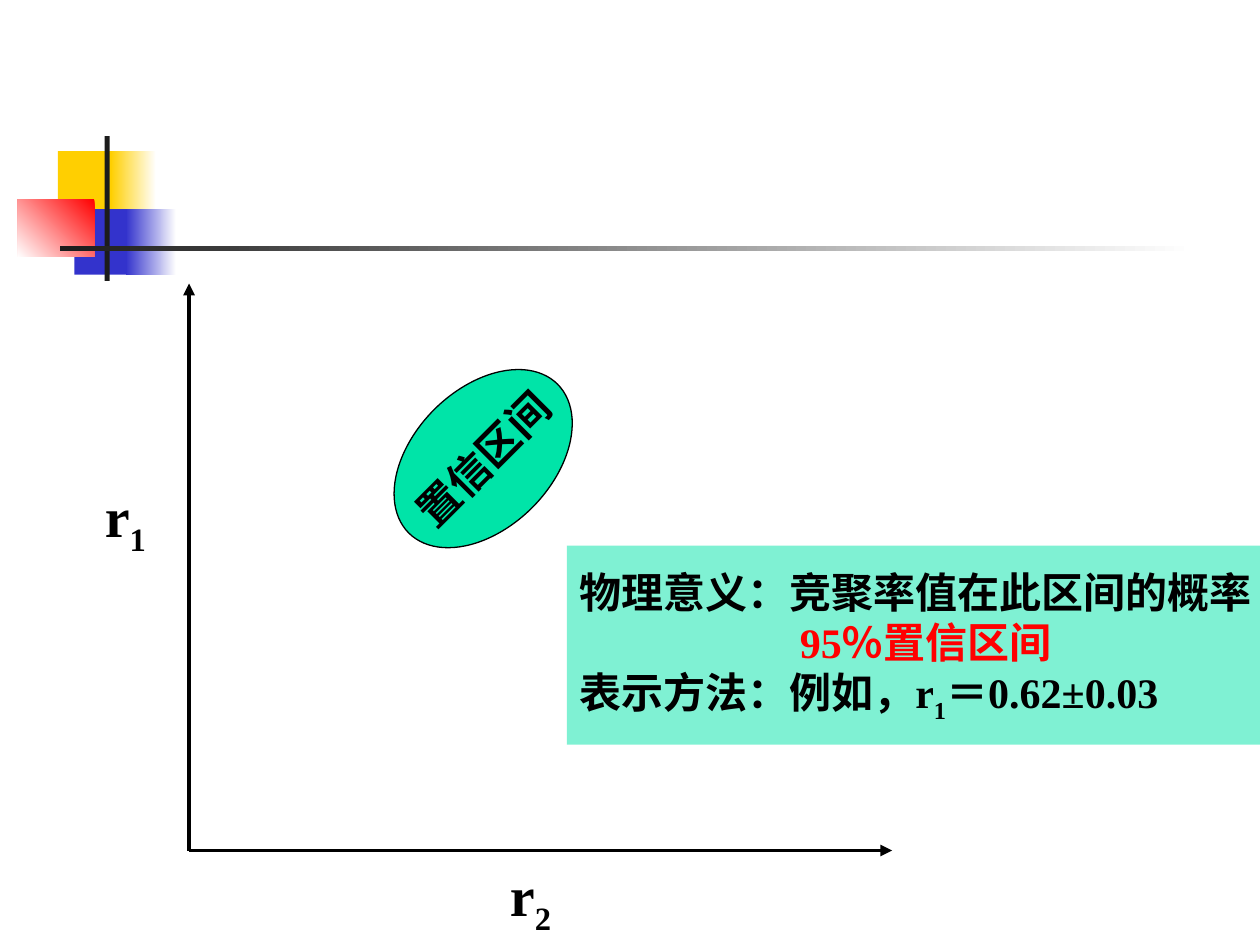
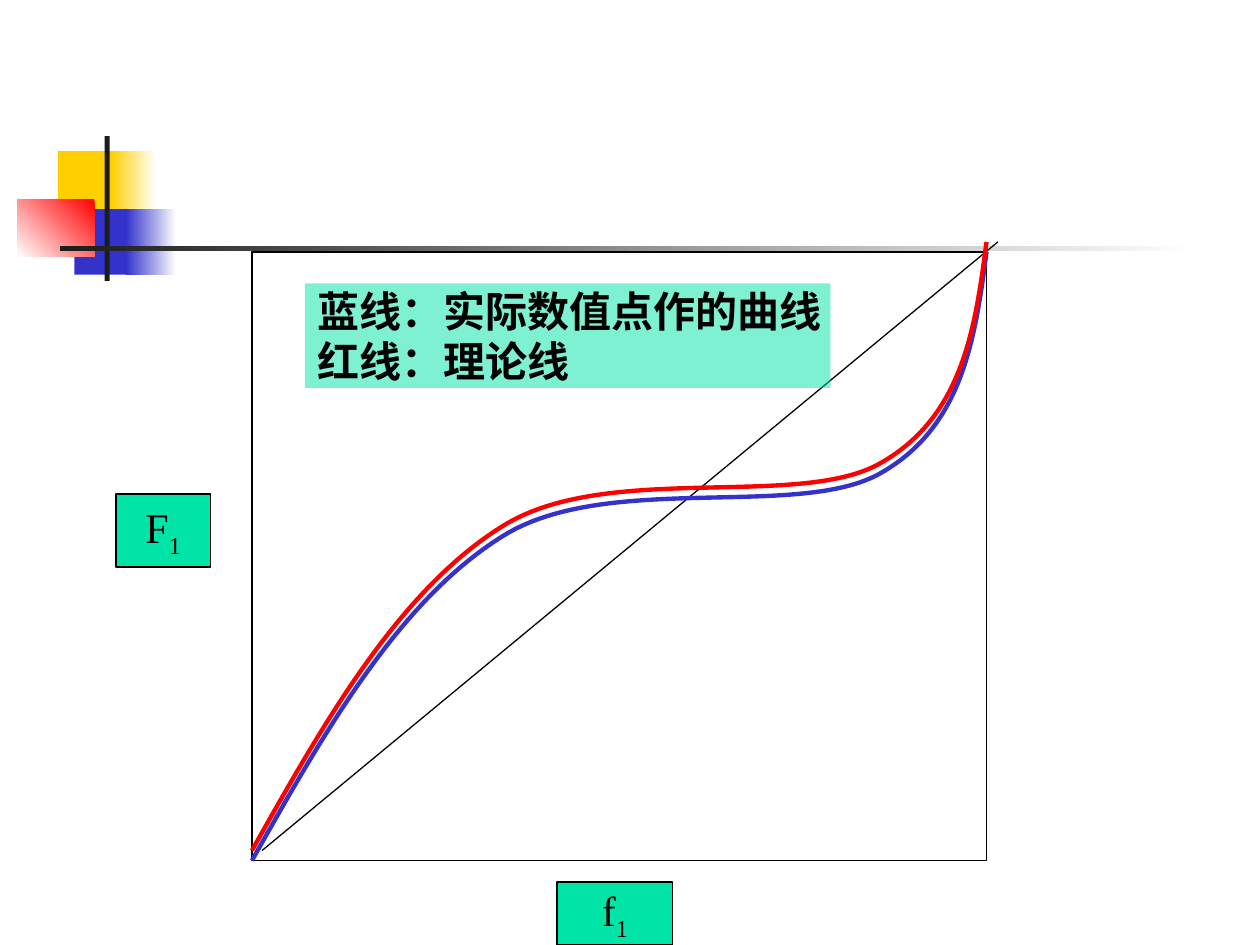
from dataclasses import dataclass

from lxml.etree import SubElement
from pptx import Presentation
from pptx.dml.color import RGBColor
from pptx.enum.shapes import MSO_CONNECTOR, MSO_SHAPE
from pptx.enum.text import MSO_ANCHOR, PP_ALIGN
from pptx.oxml.ns import qn
from pptx.util import Inches, Pt


@dataclass(frozen=True)
class Theme:
    black: str = "000000"
    white: str = "FFFFFF"
    charcoal: str = "1C1C1C"
    yellow: str = "FFCF01"
    blue: str = "3333CC"
    red: str = "FF0000"
    mint: str = "00E4A8"
    serif: str = "Times New Roman"
    sans: str = "Cabin"
    axis_size: int = 32
    body_size: int = 24
    thin: float = 0.75
    axis_width: float = 2.25
    curve_width: float = 2.5


THEME = Theme()


def write_text(frame, paragraphs, *, size=THEME.body_size, font=THEME.serif,
               bold=False, align=PP_ALIGN.CENTER, indents=()):
    """Each paragraph is a list of (text, colour, is_subscript) runs."""
    frame.word_wrap = False
    frame.vertical_anchor = MSO_ANCHOR.MIDDLE
    indents = dict(indents)
    for index, runs in enumerate(paragraphs):
        paragraph = frame.paragraphs[0] if index == 0 else frame.add_paragraph()
        paragraph.alignment = align
        if index in indents:
            paragraph._p.get_or_add_pPr().set("marL", str(Inches(indents[index])))
        for text, colour, is_subscript in runs:
            run = paragraph.add_run()
            run.text = text
            run.font.name = font
            run.font.size = Pt(size)
            run.font.bold = bold
            run.font.color.rgb = RGBColor.from_string(colour)
            if is_subscript:
                run._r.get_or_add_rPr().set("baseline", "-25000")


def plain(text, colour=THEME.black):
    return (text, colour, False)


def subscripted(base, index):
    return [plain(base), (index, THEME.black, True)]


class SlideBuilder:
    def __init__(self, presentation, theme):
        self.presentation = presentation
        self.theme = theme
        self.slide = None

    def new_slide(self):
        self.slide = self.presentation.slides.add_slide(self.presentation.slide_layouts[6])
        self.ornament()

    def ornament(self):
        """Coloured squares and crossing bars shared by every slide."""
        t = self.theme
        self.block((0.46, 1.2, 0.48, 0.52), fill=t.yellow)
        self.block((0.88, 1.2, 0.36, 0.52), gradient=(t.white, t.yellow, 180))
        self.block((0.59, 1.66, 0.46, 0.52), fill=t.blue)
        self.block((1, 1.66, 0.4, 0.52), gradient=(t.white, t.blue, 180))
        self.block((0.14, 1.58, 0.61, 0.46), gradient=(t.red, t.white, 135))
        self.block((0.83, 1.08, 0.04, 1.15), fill=t.charcoal)
        self.block((0.48, 1.95, 9, 0.04), gradient=(t.white, t.charcoal, 180))

    def block(self, box, *, kind=MSO_SHAPE.RECTANGLE, fill=None, alpha=None,
              gradient=None, outline=False, rotation=0):
        shape = self.slide.shapes.add_shape(kind, *map(Inches, box))
        shape.shadow.inherit = False
        shape.rotation = rotation
        if gradient:
            *colours, clockwise = gradient
            shape.fill.gradient()
            shape.fill.gradient_angle = 360 - clockwise
            for stop, colour in zip(shape.fill.gradient_stops, colours):
                stop.color.rgb = RGBColor.from_string(colour)
        elif fill:
            shape.fill.solid()
            shape.fill.fore_color.rgb = RGBColor.from_string(fill)
        else:
            shape.fill.background()
        if alpha is not None:
            colour = shape._element.spPr.xpath("./a:solidFill/a:srgbClr")[0]
            SubElement(colour, qn("a:alpha")).set("val", str(alpha * 1000))
        if outline:
            self.stroke(shape, self.theme.black, self.theme.thin)
        else:
            shape.line.fill.background()
        return shape

    def stroke(self, shape, colour, width):
        shape.line.color.rgb = RGBColor.from_string(colour)
        shape.line.width = Pt(width)

    def line(self, start, end, *, width, arrow=False):
        connector = self.slide.shapes.add_connector(
            MSO_CONNECTOR.STRAIGHT, *map(Inches, (*start, *end)))
        self.stroke(connector, self.theme.black, width)
        if arrow:
            SubElement(connector.line._get_or_add_ln(), qn("a:tailEnd")).set("type", "triangle")
        SubElement(connector._element.spPr, qn("a:effectLst"))

    def curve(self, start, segments, *, colour, lift=0):
        """Joined cubic curves; each segment is two control points and an end."""
        def place(point):
            return Inches(point[0]), Inches(point[1] - lift)

        builder = self.slide.shapes.build_freeform(*place(start))
        builder.add_line_segments([place(end) for *_, end in segments], close=False)
        shape = builder.convert_to_shape()

        # Bend each straight segment with its control points
        straights = shape._element.spPr.xpath(".//a:lnTo")
        for straight, (*controls, _) in zip(straights, segments):
            straight.tag = qn("a:cubicBezTo")
            for index, control in enumerate(controls):
                x, y = place(control)
                corner = SubElement(straight, qn("a:pt"))
                corner.set("x", str(x - shape.left))
                corner.set("y", str(y - shape.top))
                straight.insert(index, corner)

        shape.shadow.inherit = False
        shape.fill.background()
        self.stroke(shape, colour, self.theme.curve_width)

    def axis_name(self, box, runs):
        write_text(self.block(box).text_frame, [runs],
                   size=self.theme.axis_size, bold=True)

    def axis_tag(self, box, runs):
        tag = self.block(box, fill=self.theme.mint, outline=True)
        write_text(tag.text_frame, [runs])

    def note(self, box, paragraphs, **text_format):
        panel = self.block(box, fill=self.theme.mint, alpha=50)
        write_text(panel.text_frame, paragraphs, bold=True,
                   align=PP_ALIGN.LEFT, **text_format)


def confidence_region(deck):
    t = deck.theme
    deck.new_slide()

    # Axes
    origin = (1.5, 6.75)
    for tip in ((1.5, 2.25), (7.08, 6.75)):
        deck.line(origin, tip, width=t.axis_width, arrow=True)
    deck.axis_name((0.83, 3.75, 0.33, 0.75), subscripted("r", "1"))
    deck.axis_name((3.75, 6.92, 0.92, 0.42), subscripted("r", "2"))

    # Tilted region
    region = deck.block((3, 3.09, 1.67, 1.1), kind=MSO_SHAPE.OVAL, fill=t.mint,
                        outline=True, rotation=-45)
    write_text(region.text_frame, [[plain("置信区间")]], font=t.sans, bold=True)

    # Meaning and notation
    deck.note((4.5, 4.33, 5.5, 1.58), [
        [plain("物理意义：竞聚率值在此区间的概率")],
        [plain("95％置信区间", t.red)],
        subscripted("表示方法：例如，r", "1") + [plain("＝0.62±0.03")],
    ], indents={1: 1.75})


def composition_curves(deck):
    t = deck.theme
    deck.new_slide()

    # Plot frame, diagonal and axis tags
    deck.block((2, 2, 5.83, 4.83), outline=True)
    deck.line((2.08, 6.75), (7.92, 1.92), width=t.thin)
    deck.axis_tag((4.42, 7, 0.92, 0.5), subscripted("f", "1"))
    deck.axis_tag((0.92, 3.92, 0.75, 0.58), subscripted("F", "1"))

    # Measured curve, and the theoretical one just above it
    start = (7.83, 2)
    segments = [
        ((7.74, 2.69), (7.64, 3.38), (7, 3.75)),
        ((6.36, 4.13), (4.83, 3.74), (4, 4.25)),
        ((3.17, 4.76), (2.58, 5.8), (2, 6.83)),
    ]
    for colour, lift in ((t.blue, 0), (t.red, 0.08)):
        deck.curve(start, segments, colour=colour, lift=lift)

    # Legend
    deck.note((2.42, 2.25, 4.17, 0.83), [
        [plain("蓝线：实际数值点作的曲线")],
        [plain("红线：理论线")],
    ], font=t.sans)


def main():
    presentation = Presentation()
    presentation.slide_width = Inches(10)
    presentation.slide_height = Inches(7.5)
    deck = SlideBuilder(presentation, THEME)
    confidence_region(deck)
    composition_curves(deck)
    presentation.save("out.pptx")


if __name__ == "__main__":
    main()
